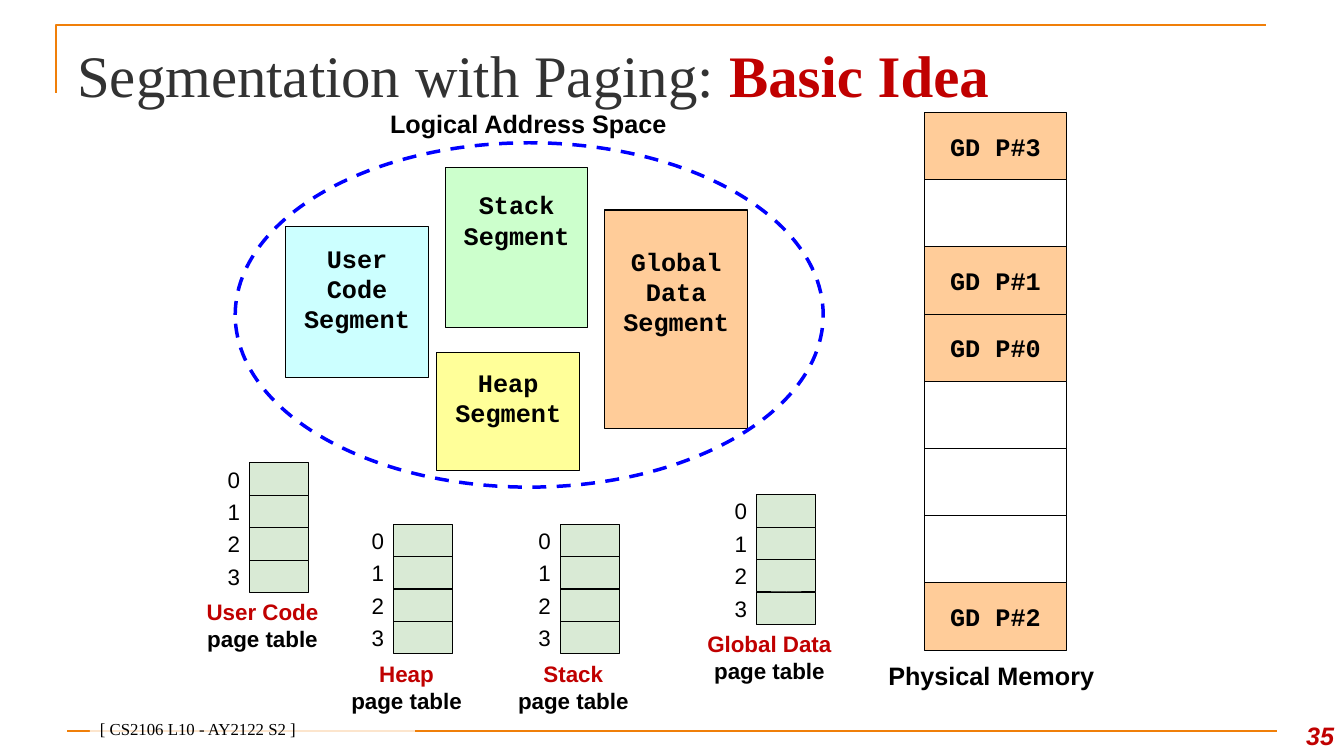
from dataclasses import dataclass
from typing import Optional

from lxml import etree
from pptx import Presentation
from pptx.dml.color import RGBColor
from pptx.enum.dml import MSO_LINE
from pptx.enum.shapes import MSO_CONNECTOR, MSO_SHAPE
from pptx.enum.text import MSO_ANCHOR, MSO_AUTO_SIZE, PP_ALIGN
from pptx.oxml.ns import qn
from pptx.util import Emu, Inches, Pt

RECTANGLE, OVAL = MSO_SHAPE.RECTANGLE, MSO_SHAPE.OVAL
STRAIGHT, DASH = MSO_CONNECTOR.STRAIGHT, MSO_LINE.DASH
LEFT, CENTER, RIGHT = PP_ALIGN.LEFT, PP_ALIGN.CENTER, PP_ALIGN.RIGHT
TOP, MIDDLE, BOTTOM = MSO_ANCHOR.TOP, MSO_ANCHOR.MIDDLE, MSO_ANCHOR.BOTTOM

BLACK = RGBColor(0x00, 0x00, 0x00)
WHITE = RGBColor(0xFF, 0xFF, 0xFF)
RED = RGBColor(0xC0, 0x00, 0x00)
GREY = RGBColor(0x32, 0x32, 0x32)
ORANGE = RGBColor(0xF0, 0x7F, 0x09)
BLUE = RGBColor(0x00, 0x00, 0xFF)
CYAN = RGBColor(0xCC, 0xFF, 0xFF)
GREEN = RGBColor(0xCC, 0xFF, 0xCC)
YELLOW = RGBColor(0xFF, 0xFF, 0x99)
PEACH = RGBColor(0xFF, 0xCC, 0x99)
SAGE = RGBColor(0xD9, 0xEA, 0xD5)

SANS, MONO, SERIF = "Arial", "Courier New", "Times New Roman"

deck = Presentation()
deck.slide_width, deck.slide_height = Inches(13.33), Inches(7.5)
COLUMN = deck.slide_width / 160
ROW = deck.slide_height / 90
page = deck.slides.add_slide(deck.slide_layouts[5])

BLOCK_WIDTH = 17
FRAME_HEIGHT = 8
ENTRY_WIDTH, ENTRY_HEIGHT = 7, 3.86
BLANK_LINE = 3.3


@dataclass(frozen=True)
class Area:
    """A place on the grid, in columns and rows."""
    column: float
    row: float
    columns: float
    rows: float

    def emu(self) -> tuple[Emu, Emu, Emu, Emu]:
        return (Emu(round(self.column * COLUMN)), Emu(round(self.row * ROW)),
                Emu(round(self.columns * COLUMN)), Emu(round(self.rows * ROW)))


@dataclass(frozen=True)
class Style:
    font: str
    size: float
    color: RGBColor = BLACK
    bold: bool = False
    italic: bool = False


@dataclass(frozen=True)
class Segment:
    name: str
    area: Area
    color: RGBColor
    lift: int  # free lines kept below the name


@dataclass(frozen=True)
class PageTable:
    name: str
    column: float
    row: float


CODE = Style(MONO, 18, bold=True)
HEADING = Style(SANS, 18, bold=True)
INDEX = Style(SANS, 16)
TABLE_NAME = Style(SANS, 16, RED, bold=True)
TABLE_KIND = Style(SANS, 16, bold=True)

SEGMENTS = [
    Segment("User Code Segment", Area(34, 27, BLOCK_WIDTH, 18), CYAN, 1),
    Segment("Stack Segment", Area(53, 20, BLOCK_WIDTH, 19), GREEN, 2),
    Segment("Heap Segment", Area(52, 42, BLOCK_WIDTH, 14), YELLOW, 1),
    Segment("Global Data Segment", Area(72, 25, BLOCK_WIDTH, 26), PEACH, 2),
]
PAGE_TABLES = [
    PageTable("Global Data", 90.1, 58.9),
    PageTable("User Code", 29.75, 55.1),
    PageTable("Heap", 46.9, 62.4),
    PageTable("Stack", 66.75, 62.4),
]
FRAMES = ["GD P#3", "", "GD P#1", "GD P#0", "", "", "", "GD P#2"]


def format_run(span, style: Style) -> None:
    font = span.font
    font.name, font.size = style.font, Pt(style.size)
    font.bold, font.italic = style.bold, style.italic
    font.color.rgb = style.color


def write(shape, lines: list[tuple[str, Style]], align=CENTER, anchor=MIDDLE) -> None:
    """Fill a shape with one paragraph per line."""
    frame = shape.text_frame
    frame.word_wrap, frame.vertical_anchor = True, anchor
    frame.text = "\n".join(text for text, _ in lines)
    for para, (_, style) in zip(frame.paragraphs, lines):
        para.alignment = align
        format_run(para.runs[0], style)


def add_text(area: Area, lines: list[tuple[str, Style]], align=CENTER, anchor=MIDDLE) -> None:
    write(page.shapes.add_textbox(*area.emu()), lines, align, anchor)


def add_box(area: Area, fill: Optional[RGBColor], line: Optional[RGBColor] = BLACK,
            weight: float = 0.75, kind=RECTANGLE):
    box = page.shapes.add_shape(kind, *area.emu())
    box.shadow.inherit = False
    if fill is None:
        box.fill.background()
    else:
        box.fill.solid()
        box.fill.fore_color.rgb = fill
    if line is None:
        box.line.fill.background()
    else:
        box.line.color.rgb = line
        box.line.width = Pt(weight)
    return box


def add_rules() -> None:
    """Draw the corner rule above the title and the rule at the foot."""
    builder = page.shapes.build_freeform(Inches(0.56), Inches(0.92))
    builder.add_line_segments([(Inches(0.56), Inches(0.25)),
                               (Inches(12.56), Inches(0.25))], close=False)
    corner = builder.convert_to_shape()
    corner.shadow.inherit = False
    corner.fill.background()
    foot = page.shapes.add_connector(STRAIGHT, round(8 * COLUMN), round(87 * ROW),
                                     round(152 * COLUMN), round(87 * ROW))
    etree.SubElement(foot._element.spPr, qn("a:effectLst"))
    for rule in (corner, foot):
        rule.line.color.rgb = ORANGE
        rule.line.width = Pt(1.5)


def add_title() -> None:
    title = page.shapes.title
    title.left, title.top, title.width, title.height = Area(8, 3.6, 144, 9.36).emu()
    frame = title.text_frame
    frame.auto_size = MSO_AUTO_SIZE.NONE
    frame.margin_bottom = 0
    write(title, [("Segmentation with Paging: ", Style(SERIF, 42, GREY))], LEFT, BOTTOM)
    span = frame.paragraphs[0].add_run()
    span.text = "Basic Idea"
    format_run(span, Style(SERIF, 42, RED, bold=True))


def add_footer() -> None:
    add_text(Area(150.7, 84, 9.3, 6), [("35", Style(SANS, 18, RED, True, True))], RIGHT, BOTTOM)
    footer = add_box(Area(10.7, 85.5, 38.7, 3), WHITE, None)
    color = footer._element.spPr.find(qn("a:solidFill")).find(qn("a:srgbClr"))
    etree.SubElement(color, qn("a:alpha"), val="80000")
    write(footer, [("[ CS2106 L10 - AY2122 S2 ]", Style(SERIF, 12))], LEFT, BOTTOM)


def add_segment(segment: Segment) -> None:
    box = add_box(segment.area, segment.color)
    write(box, [(segment.name, CODE)])
    box.text_frame.margin_bottom += round(segment.lift * BLANK_LINE * ROW)


def add_page_table(table: PageTable) -> None:
    for index in range(4):
        row = table.row + index * ENTRY_HEIGHT
        add_text(Area(table.column - 6, row, 6, ENTRY_HEIGHT), [(str(index), INDEX)], RIGHT)
        add_box(Area(table.column, row, ENTRY_WIDTH, ENTRY_HEIGHT), SAGE)
    add_text(Area(table.column - 9, table.row + 17.8, 21, 3.1),
             [(table.name, TABLE_NAME), ("page table", TABLE_KIND)])


def add_memory() -> None:
    for index, name in enumerate(FRAMES):
        area = Area(110, 13.4 + index * FRAME_HEIGHT, BLOCK_WIDTH, FRAME_HEIGHT)
        box = add_box(area, PEACH if name else WHITE)
        if name:
            write(box, [(name, CODE)])
    add_text(Area(99, 78, 38, 4.8), [("Physical Memory", HEADING)], anchor=TOP)


add_rules()
add_title()
add_footer()
for segment in SEGMENTS:
    add_segment(segment)
add_box(Area(28, 17, 70, 41), None, BLUE, 2.5, OVAL).line.dash_style = DASH
add_text(Area(44.4, 12.3, 37, 4.8), [("Logical Address Space", HEADING)], anchor=TOP)
for table in PAGE_TABLES:
    add_page_table(table)
add_memory()
deck.save("out.pptx")
